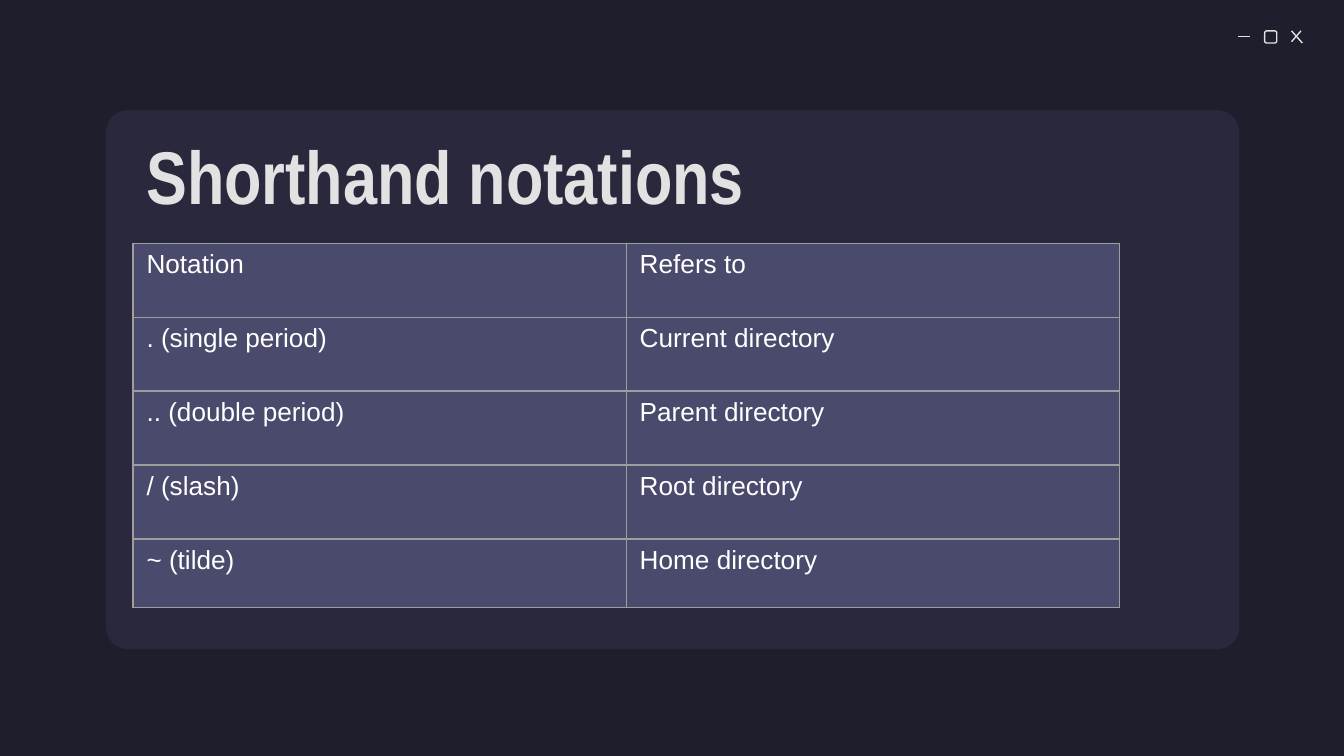
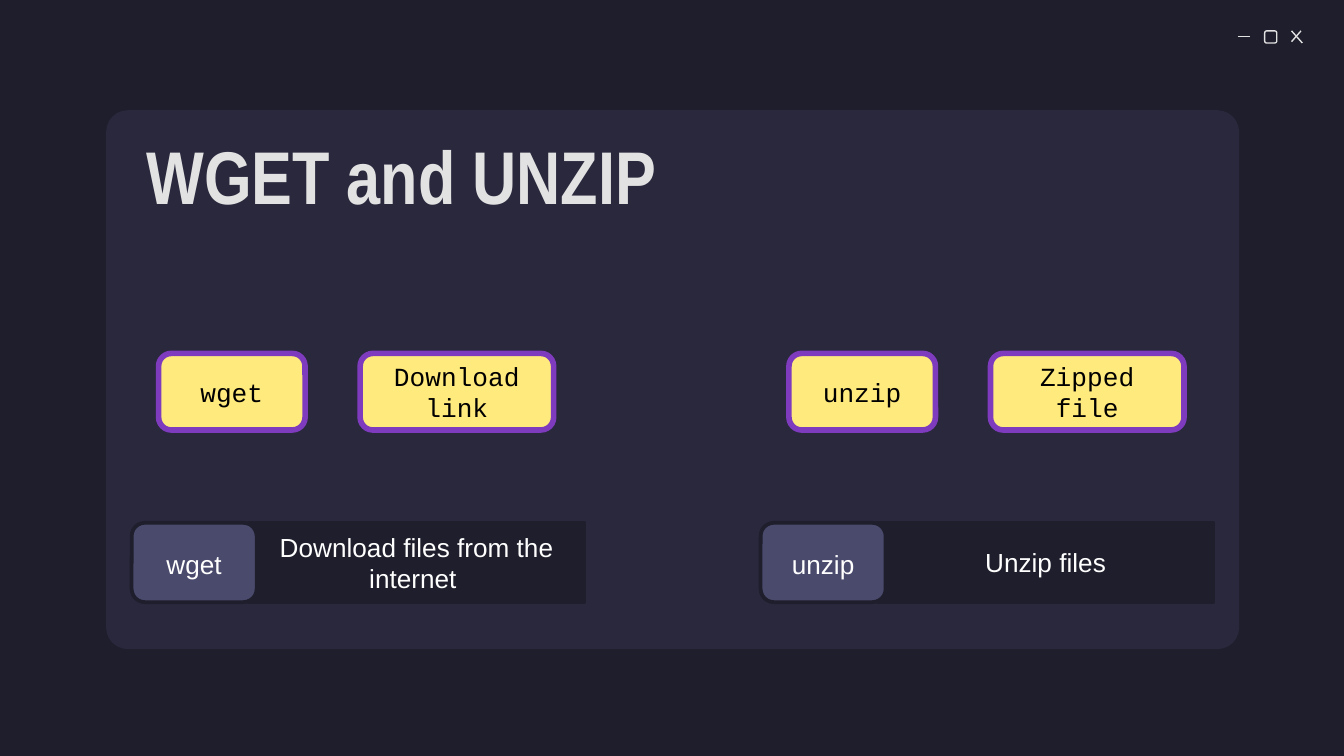
from collections import namedtuple

from lxml import etree
from pptx import Presentation
from pptx import util as u
from pptx.dml.color import RGBColor
from pptx.enum import shapes, text
from pptx.oxml.ns import qn

Box = namedtuple("Box", "left top width height")
COLORS = {
    "background": "1E1E2C", "panel": "29283D", "light": "E2E2E2", "tile": "4A4A6D",
    "white": "FFFFFF", "black": "000000", "yellow": "FFEA7D", "purple": "7E3BBE",
    "border": "9E9E9E",
}
PANEL = Box(0.79, 0.82, 8.43, 4.01)
CONTROLS = Box(9.21, 0.23, 0.48, 0.09)
ROUNDED = shapes.MSO_SHAPE.ROUNDED_RECTANGLE
NOTATIONS = [
    ("Notation", "Refers to"),
    (". (single period)", "Current directory"),
    (".. (double period)", "Parent directory"),
    ("/ (slash)", "Root directory"),
    ("~ (tilde)", "Home directory"),
]
COMMANDS = [
    ("wget", "Download link", "Download files from the internet "),
    ("unzip", "Zipped file", "Unzip files"),
]


def color(name):
    """Return the palette colour with this name."""
    return RGBColor.from_string(COLORS[name])


def inches(*values):
    """Convert numbers to lengths."""
    return [u.Inches(value) for value in values]


def write(frame, content, size=14, font="Arial", ink="white", bold=False,
          align=text.PP_ALIGN.CENTER):
    """Write one run of styled text into a text frame."""
    paragraph = frame.paragraphs[0]
    paragraph.alignment = align
    run = paragraph.add_run()
    run.text = content
    run.font.size = u.Pt(size)
    run.font.name = font
    run.font.bold = bold
    run.font.color.rgb = color(ink)


def add_block(parent, kind, box, fill=None, line=None, weight=0.75, radius=None):
    """Add a preset shape with an optional fill, outline and corner radius."""
    shape = parent.shapes.add_shape(kind, *inches(*box))
    shape.shadow.inherit = False
    if radius is not None:
        shape.adjustments[0] = radius
    if fill:
        shape.fill.solid()
        shape.fill.fore_color.rgb = color(fill)
    else:
        shape.fill.background()
    if line:
        shape.line.color.rgb = color(line)
        shape.line.width = u.Pt(weight)
    else:
        shape.line.fill.background()
    return shape


def add_label(slide, box, content, anchor=text.MSO_ANCHOR.TOP, margin=0.05, **style):
    """Add a wrapping text box."""
    frame = slide.shapes.add_textbox(*inches(*box)).text_frame
    frame.word_wrap = True
    frame.vertical_anchor = anchor
    frame.margin_top = frame.margin_bottom = u.Inches(margin)
    write(frame, content, **style)


def add_line(parent, *ends):
    """Add a thin light line without a shadow."""
    line = parent.shapes.add_connector(shapes.MSO_CONNECTOR.STRAIGHT, *inches(*ends))
    line.line.color.rgb = color("light")
    line.line.width = u.Pt(0.75)
    etree.SubElement(line._element.spPr, qn("a:effectLst"))


def add_controls(slide, box):
    """Draw the minimise, maximise and close icons."""
    group = slide.shapes.add_group_shape()
    side, right, bottom = box.height, box.left + box.width, box.top + box.height
    middle = box.top + 0.04
    add_line(group, box.left, middle, box.left + side, middle)
    add_block(group, ROUNDED, Box(box.left + 0.2, box.top, side, side), line="light")
    add_line(group, right - 0.08, box.top, right, bottom)
    add_line(group, right - 0.01, box.top, right - 0.08, bottom - 0.01)


def add_panel_slide(presentation, title, box):
    """Add a slide with the shared background, panel, icons and title."""
    slide = presentation.slides.add_slide(presentation.slide_layouts[6])
    slide.background.fill.solid()
    slide.background.fill.fore_color.rgb = color("background")
    add_block(slide, ROUNDED, box, fill="panel", radius=0.04)
    add_controls(slide, CONTROLS)
    title_box = Box(box.left + 0.2, box.top + 0.09, box.width - 0.01, 0.78)
    add_label(slide, title_box, title, text.MSO_ANCHOR.MIDDLE, 0.1, size=40,
              font="Arial Narrow", ink="light", bold=True, align=text.PP_ALIGN.LEFT)
    return slide


def add_borders(cell):
    """Outline all four sides of a table cell."""
    properties = cell._tc.get_or_add_tcPr()
    for index, side in enumerate(("a:lnL", "a:lnR", "a:lnT", "a:lnB")):
        line = etree.Element(qn(side), w=str(u.Pt(0.75)))
        fill = etree.SubElement(line, qn("a:solidFill"))
        etree.SubElement(fill, qn("a:srgbClr"), val=COLORS["border"])
        properties.insert(index, line)


def add_notation_table(slide, box):
    """Fill the box with the table of shorthand notations."""
    frame = slide.shapes.add_table(len(NOTATIONS), 2, *inches(*box))
    table = frame.table
    table.first_row = table.horz_banding = False
    for column in table.columns:
        column.width = u.Inches(box.width / 2)
    for index, (row, values) in enumerate(zip(table.rows, NOTATIONS)):
        row.height = u.Inches(0.51 if index == len(NOTATIONS) - 1 else 0.55)
        for cell, value in zip(row.cells, values):
            cell.fill.solid()
            cell.fill.fore_color.rgb = color("tile")
            add_borders(cell)
            write(cell.text_frame, value, align=text.PP_ALIGN.LEFT)


def add_syntax(slide, box, parts):
    """Place the command and its argument in yellow boxes at the box's two ends."""
    left = box.left
    for part, width in zip(parts, (1.09, 1.44)):
        shape = add_block(slide, ROUNDED, Box(left, box.top, width, box.height),
                          "yellow", "purple", 3)
        frame = shape.text_frame
        frame.margin_top = frame.margin_bottom = u.Inches(0.1)
        write(frame, part, font="Courier New", ink="black")
        left = box.left + box.width - 1.44


def add_definition(slide, box, command, meaning):
    """Place a command tile with its meaning on a dark bar."""
    tile = box._replace(width=0.93)
    bar = Box(box.left + 0.87, box.top, box.width - 0.87, box.height)
    shape = add_block(slide, shapes.MSO_SHAPE.RECTANGLE, bar,
                      "background", "background", 2)
    write(shape.text_frame, meaning)
    add_block(slide, ROUNDED, tile, "tile", "background", 2)
    add_label(slide, tile._replace(top=box.top + 0.14, height=0.34), command)


def build_notation_slide(presentation, box):
    """Build the slide of shorthand notations."""
    slide = add_panel_slide(presentation, "Shorthand notations", box)
    add_notation_table(slide, Box(box.left + 0.2, box.top + 0.99, 7.34, 2.71))


def build_command_slide(presentation, box):
    """Build the slide that explains the two commands."""
    slide = add_panel_slide(presentation, "WGET and UNZIP", box)
    for index, (command, argument, meaning) in enumerate(COMMANDS):
        bar = Box(box.left + 0.19 + 4.68 * index, box.top + 3.07, 3.37, 0.59)
        add_definition(slide, bar, command, meaning)
    for index, (command, argument, meaning) in enumerate(COMMANDS):
        syntax = Box(box.left + 0.39 + 4.69 * index, box.top + 1.81, 2.94, 0.57)
        add_syntax(slide, syntax, (command, argument))


def main():
    """Build and save the presentation."""
    presentation = Presentation()
    presentation.slide_width = u.Inches(10)
    presentation.slide_height = u.Emu(presentation.slide_width * 9 // 16)
    build_notation_slide(presentation, PANEL)
    build_command_slide(presentation, PANEL)
    presentation.save("out.pptx")


if __name__ == "__main__":
    main()
